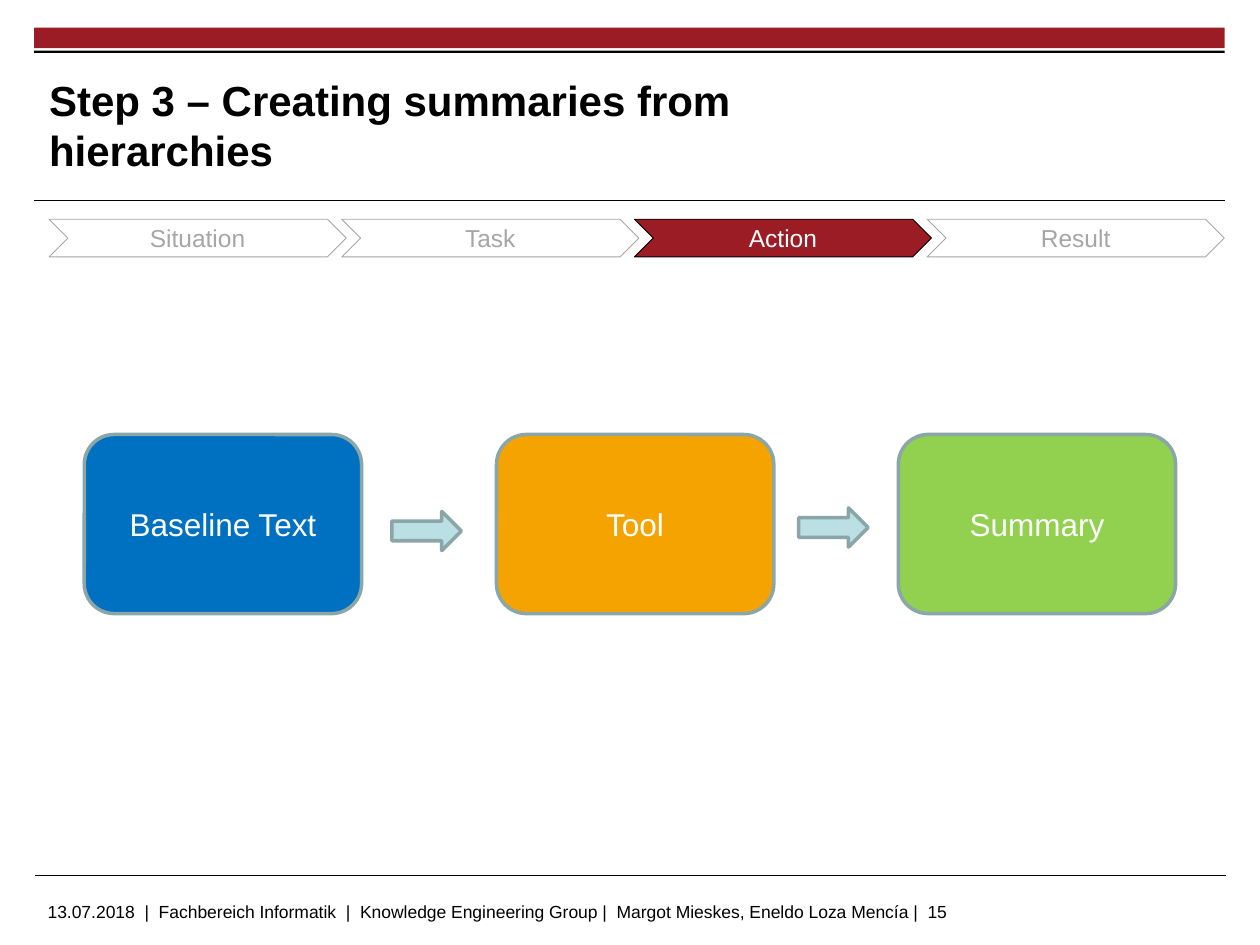
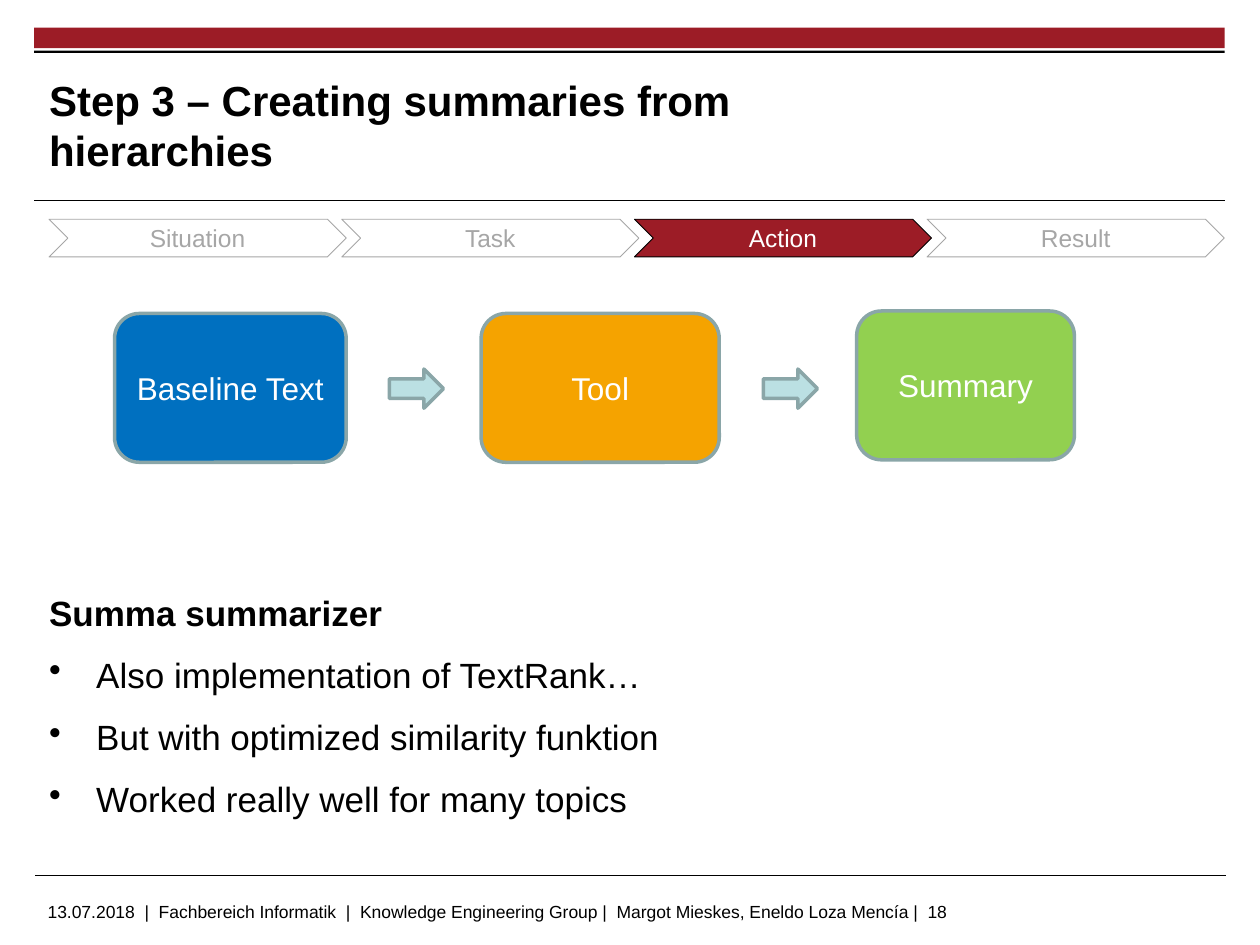
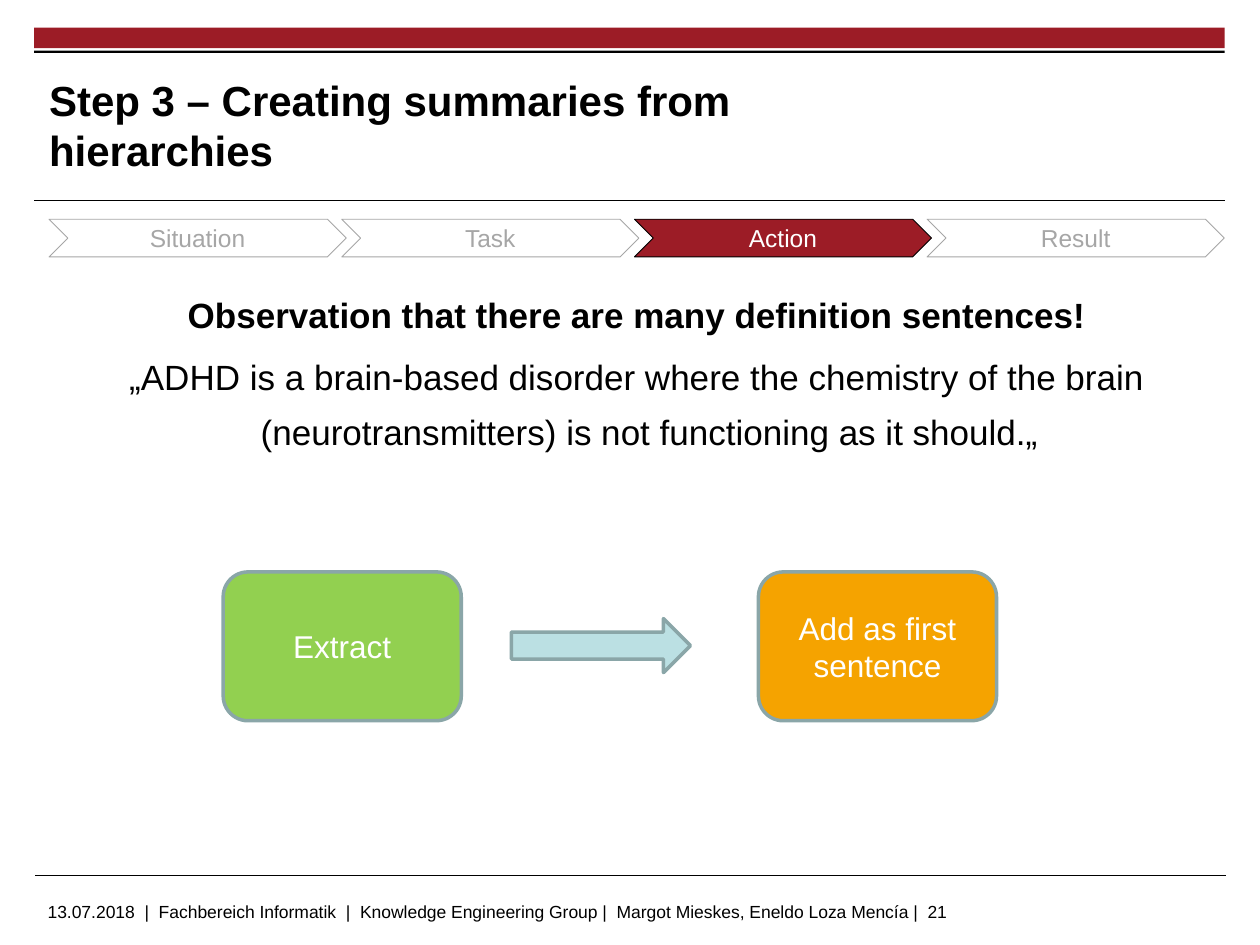
import pptx
import pptx.util
import pptx.dml.color
import pptx.enum.shapes
import pptx.enum.text
import pptx.oxml.ns
import lxml.etree

Cm = pptx.util.Cm
Pt = pptx.util.Pt
SHAPE = pptx.enum.shapes.MSO_SHAPE
ALIGN = pptx.enum.text.PP_ALIGN
ANCHOR = pptx.enum.text.MSO_ANCHOR

COLORS = {
    "black": "000000",
    "white": "FFFFFF",
    "red": "9C1C26",
    "gray": "A6A6A6",
    "blue": "0070C0",
    "orange": "F5A300",
    "green": "92D050",
    "outline": "8AA6A8",
    "arrow": "BBE0E3",
}
FONT = "Arial"
TITLE = "Step 3 – Creating summaries from hierarchies"
FOOTER = ("13.07.2018  |  Fachbereich Informatik  |  Knowledge Engineering Group |"
          "  Margot Mieskes, Eneldo Loza Mencía |  ")
STAGES = ["Situation", "Task", "Action", "Result"]
ACTIVE_STAGE = "Action"
LEFT = 0.99
BAND_LEFT, BAND_WIDTH = 0.69, 24


def color(name):
    return pptx.dml.color.RGBColor.from_string(COLORS[name])


class Deck:
    def __init__(self):
        self.presentation = pptx.Presentation()
        self.presentation.slide_width = Cm(25.4)
        self.presentation.slide_height = Cm(19.05)
        self.slide = None

    def new_slide(self, number):
        self.slide = self.presentation.slides.add_slide(self.presentation.slide_layouts[6])
        self.shape(SHAPE.RECTANGLE, BAND_LEFT, 0.56, BAND_WIDTH, 0.41, "red")
        self.rule(BAND_LEFT, 4.04)
        self.shape(SHAPE.RECTANGLE, BAND_LEFT, 1.02, BAND_WIDTH, 0.05, "black")
        self.rule(0.71, 17.65)
        footer = self.text_box(0.71, 18.03, 20.02, 0.64)
        self.add_run(footer.paragraphs[0], FOOTER + str(number), 10)
        title = self.text_box(LEFT, 1.35, 18.44, 2.34, 0, 0)
        title.vertical_anchor = ANCHOR.MIDDLE
        self.add_run(title.paragraphs[0], TITLE, 24, bold=True)
        self.stages()

    def stages(self):
        for index, stage in enumerate(STAGES):
            active = stage == ACTIVE_STAGE
            fill, line, text = ("red", "black", "white") if active else ("white", "gray", "gray")
            chevron = self.shape(SHAPE.CHEVRON, LEFT + 5.9 * index, 4.42, 5.99, 0.76,
                                 fill, line, 0.5)
            self.label(chevron, [stage], 14, text)

    def shape(self, kind, left, top, width, height, fill, line=None, line_width=0):
        shape = self.slide.shapes.add_shape(kind, Cm(left), Cm(top), Cm(width), Cm(height))
        shape.shadow.inherit = False
        shape.fill.solid()
        shape.fill.fore_color.rgb = color(fill)
        if line:
            shape.line.color.rgb = color(line)
            shape.line.width = Pt(line_width)
        else:
            shape.line.fill.background()
        return shape

    def rule(self, left, top):
        connector = self.slide.shapes.add_connector(
            pptx.enum.shapes.MSO_CONNECTOR.STRAIGHT,
            Cm(left), Cm(top), Cm(left + BAND_WIDTH), Cm(top))
        connector.line.color.rgb = color("black")
        connector.line.width = Pt(0.6)
        properties = connector._element.spPr
        lxml.etree.SubElement(properties, pptx.oxml.ns.qn("a:effectLst"))

    def text_box(self, left, top, width, height, side_inset=0.25, end_inset=0.13):
        box = self.slide.shapes.add_textbox(Cm(left), Cm(top), Cm(width), Cm(height))
        frame = box.text_frame
        frame.word_wrap = True
        frame.margin_left = frame.margin_right = Cm(side_inset)
        frame.margin_top = frame.margin_bottom = Cm(end_inset)
        return frame

    def add_run(self, paragraph, text, size, color_name="black", bold=False):
        run = paragraph.add_run()
        run.text = text
        run.font.name = FONT
        run.font.size = Pt(size)
        run.font.bold = bold
        run.font.color.rgb = color(color_name)

    def paragraphs(self, frame, count):
        return [frame.paragraphs[0]] + [frame.add_paragraph() for _ in range(count - 1)]

    def label(self, shape, lines, size, color_name):
        frame = shape.text_frame
        frame.margin_left = frame.margin_right = Cm(0.1)
        frame.vertical_anchor = ANCHOR.MIDDLE
        for paragraph, line in zip(self.paragraphs(frame, len(lines)), lines):
            paragraph.alignment = ALIGN.CENTER
            self.add_run(paragraph, line, size, color_name)

    def box(self, lines, left, top, width, height, fill):
        box = self.shape(SHAPE.ROUNDED_RECTANGLE, left, top, width, height, fill, "outline", 2)
        self.label(box, lines, 18, "white")

    def arrow(self, left, top, width, height):
        self.shape(SHAPE.RIGHT_ARROW, left, top, width, height, "arrow", "outline", 2)

    def body(self, top, height, heading, lines, bulleted=False, alignment=ALIGN.LEFT):
        frame = self.text_box(LEFT, top, 23.7, height, 0)
        paragraphs = self.paragraphs(frame, len(lines) + 1)
        for index, (paragraph, text) in enumerate(zip(paragraphs, [heading] + lines)):
            is_heading = index == 0
            has_bullet = bulleted and not is_heading
            paragraph.alignment = alignment
            paragraph.line_spacing = 1.3
            paragraph.space_before = Pt(2)
            paragraph.space_after = Pt(2.3)
            indent = Cm(0.95 if has_bullet else 0.51)
            properties = paragraph._p.get_or_add_pPr()
            properties.set("marL", str(indent))
            properties.set("indent", str(-indent))
            if has_bullet:
                bullet = lxml.etree.SubElement(properties, pptx.oxml.ns.qn("a:buChar"))
                bullet.set("char", "•")
            self.add_run(paragraph, text, 20, bold=is_heading)


def overview_slide(deck):
    deck.new_slide(15)
    deck.box(["Baseline Text"], 1.7, 8.76, 5.59, 3.61, "blue")
    deck.box(["Tool"], 10.01, 8.76, 5.59, 3.61, "orange")
    deck.box(["Summary"], 18.11, 8.76, 5.59, 3.61, "green")
    deck.arrow(7.9, 10.31, 1.4, 0.79)
    deck.arrow(16.1, 10.24, 1.4, 0.79)


def summarizer_slide(deck):
    deck.new_slide(18)
    deck.body(11.54, 5.4, "Summa summarizer", [
        "Also implementation of TextRank…",
        "But with optimized similarity funktion",
        "Worked really well for many topics",
    ], bulleted=True)
    deck.box(["Baseline Text"], 2.31, 6.32, 4.67, 3, "blue")
    deck.box(["Tool"], 9.7, 6.32, 4.8, 3, "orange")
    deck.box(["Summary"], 17.27, 6.27, 4.39, 3, "green")
    for left in (7.85, 15.39):
        deck.arrow(left, 7.44, 1.09, 0.79)


def definition_slide(deck):
    deck.new_slide(21)
    deck.body(5.54, 11.4, "Observation that there are many definition sentences!", [
        "„ADHD is a brain-based disorder where the chemistry of the brain "
        "(neurotransmitters) is not functioning as it should.„",
    ], alignment=ALIGN.CENTER)
    deck.box(["Extract"], 4.5, 11.53, 4.8, 3, "green")
    deck.box(["Add as first", "sentence"], 15.29, 11.53, 4.8, 3, "orange")
    deck.arrow(10.31, 12.47, 3.61, 1.09)


def main():
    deck = Deck()
    overview_slide(deck)
    summarizer_slide(deck)
    definition_slide(deck)
    deck.presentation.save("out.pptx")


if __name__ == "__main__":
    main()
